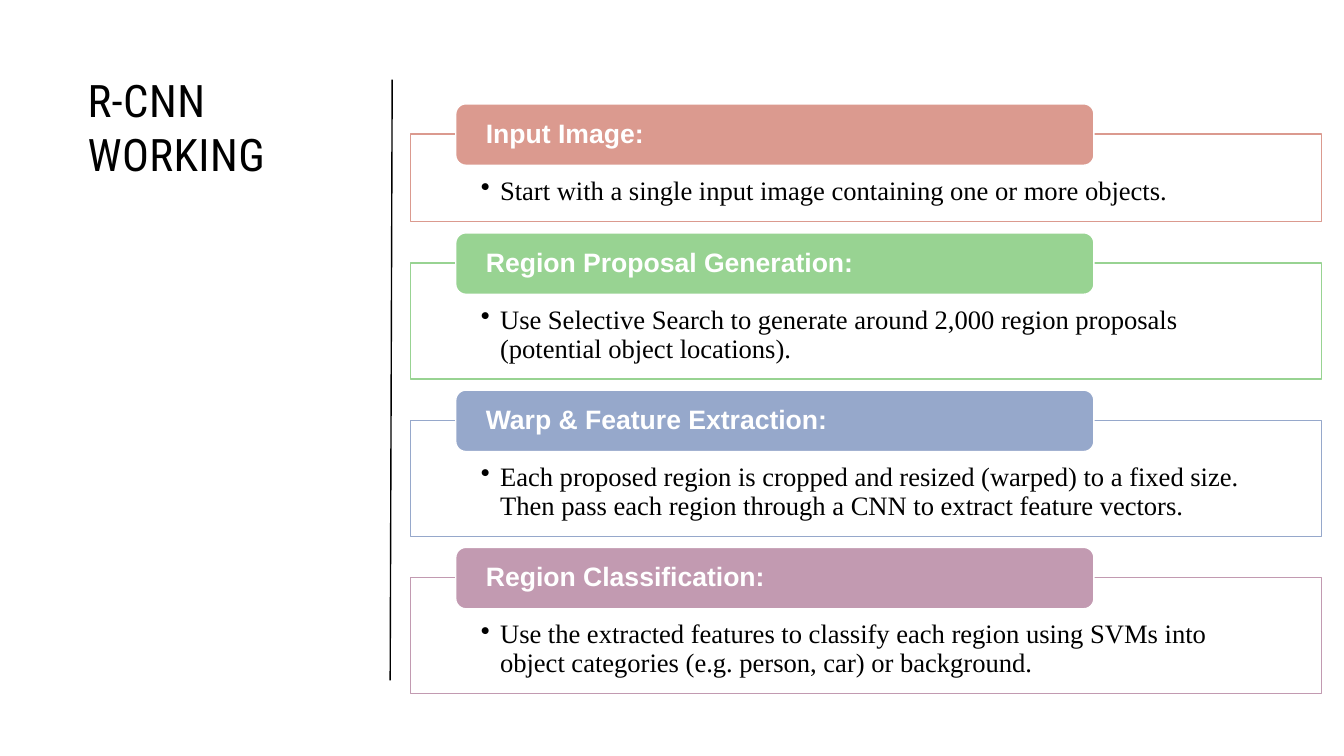
"""Build the R-CNN working slide: a title, a divider and four labelled steps."""
from lxml.etree import SubElement
from pptx import Presentation
from pptx.dml.color import RGBColor
from pptx.enum.shapes import MSO_CONNECTOR, MSO_SHAPE
from pptx.enum.text import MSO_ANCHOR, PP_ALIGN
from pptx.oxml.ns import qn
from pptx.util import Inches, Pt


def rgb(hex_color):
    return RGBColor.from_string(hex_color)


def write(shape, text, font, size, color="000000", bold=False, spacing=1.0,
          anchor=MSO_ANCHOR.TOP, insets=(0.1, 0.05, 0.1, 0.05), bullet=False):
    frame = shape.text_frame
    frame.word_wrap = True
    frame.vertical_anchor = anchor
    (frame.margin_left, frame.margin_top,
     frame.margin_right, frame.margin_bottom) = map(Inches, insets)
    paragraph = frame.paragraphs[0]
    if bullet:
        properties = paragraph._p.get_or_add_pPr()
        properties.set("marL", str(Inches(0.19)))
        properties.set("indent", str(Inches(-0.19)))
        SubElement(properties, qn("a:buChar")).set("char", "•")
    paragraph.alignment = PP_ALIGN.LEFT
    paragraph.line_spacing = spacing
    run = paragraph.add_run()
    run.text = text
    run.font.name = font
    run.font.size = Pt(size)
    run.font.bold = bold
    run.font.color.rgb = rgb(color)
    return run


STEPS = [
    ("Input Image:", "DB9A8F", 0.87,
     "Start with a single input image containing one or more objects."),
    ("Region Proposal Generation:", "98D392", 1.15,
     "Use Selective Search to generate around 2,000 region proposals "
     "(potential object locations)."),
    ("Warp & Feature Extraction:", "96A8CB", 1.15,
     "Each proposed region is cropped and resized (warped) to a fixed size. "
     "Then pass each region through a CNN to extract feature vectors."),
    ("Region Classification:", "C29AB1", 1.15,
     "Use the extracted features to classify each region using SVMs into "
     "object categories (e.g. person, car) or background."),
]
STEP_GAP = 0.41
HEADING_RISE = 0.3

prs = Presentation()
prs.slide_width = Inches(13.33)
prs.slide_height = Inches(7.5)
slide = prs.slides.add_slide(prs.slide_layouts[6])
shapes = slide.shapes

title = shapes.add_textbox(Inches(0.77), Inches(0.67), Inches(2.76), Inches(4.91))
title_run = write(title, "R-CNN WORKING", "Roboto Condensed", 32)
title_run.font._element.set("spc", "30")

divider = shapes.add_connector(MSO_CONNECTOR.STRAIGHT, Inches(3.87), Inches(6.75),
                               Inches(3.89), Inches(0.79))
divider.line.color.rgb = rgb("000000")
divider.line.width = Pt(1)
SubElement(divider._element.spPr, qn("a:effectLst"))

top = 1.33
for heading_text, color, height, detail_text in STEPS:
    detail = shapes.add_shape(MSO_SHAPE.RECTANGLE, Inches(4.07), Inches(top),
                              Inches(9.04), Inches(height))
    heading = shapes.add_shape(MSO_SHAPE.ROUNDED_RECTANGLE, Inches(4.52),
                               Inches(top - HEADING_RISE), Inches(6.33), Inches(0.61))
    for part, fill, outline in ((detail, "FFFFFF", color), (heading, color, "FFFFFF")):
        part.shadow.inherit = False
        part.fill.solid()
        part.fill.fore_color.rgb = rgb(fill)
        part.line.color.rgb = rgb(outline)
        part.line.width = Pt(1)
    detail_fill = detail._element.spPr.find(qn("a:solidFill"))
    SubElement(detail_fill[0], qn("a:alpha")).set("val", "90000")
    write(detail, detail_text, "Times New Roman", 19, spacing=0.9,
          insets=(0.7, 0.43, 0.7, 0.15), bullet=True)
    write(heading, heading_text, "Arial", 19, color="FFFFFF", bold=True, spacing=0.9,
          anchor=MSO_ANCHOR.MIDDLE, insets=(0.27, 0, 0.27, 0))
    top += height + STEP_GAP

prs.save("out.pptx")
